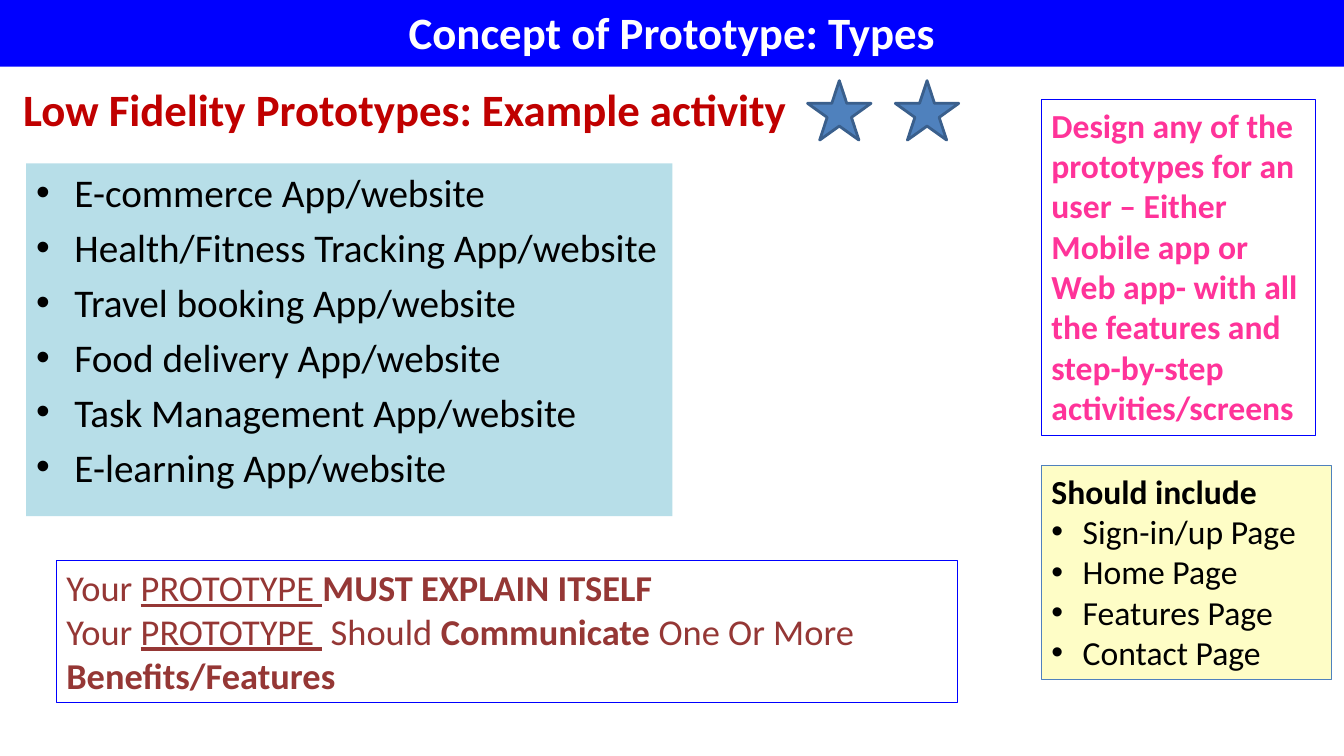
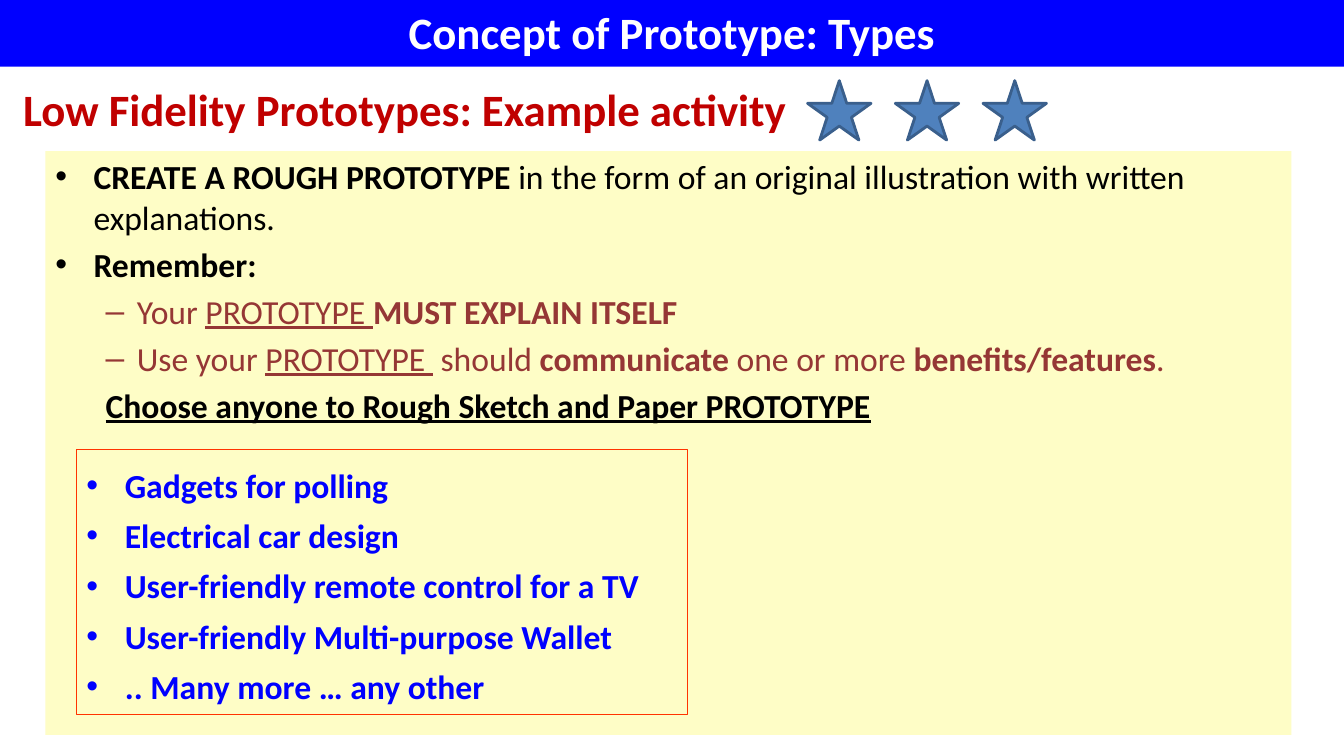
from dataclasses import dataclass

from lxml.etree import SubElement
from pptx import Presentation
from pptx.dml.color import RGBColor
from pptx.enum.shapes import MSO_SHAPE
from pptx.enum.text import MSO_ANCHOR, MSO_AUTO_SIZE, PP_ALIGN
from pptx.oxml.ns import qn
from pptx.util import Inches, Pt


@dataclass(frozen=True)
class Theme:
    font: str = "Calibri"
    white: str = "FFFFFF"
    black: str = "000000"
    blue: str = "0000FF"
    crimson: str = "C00000"
    pink: str = "FF3399"
    brown: str = "953735"
    cream: str = "FEFDC6"
    aqua: str = "B7DEE8"
    steel: str = "4F81BD"
    navy: str = "3A5F8C"
    orange: str = "FF3300"
    heading: int = 32
    large: int = 28
    medium: int = 26
    body: int = 24
    hairline: float = 0.75
    star_line: float = 2


@dataclass(frozen=True)
class Item:
    text: object
    margin: float = 0
    hanging: float = 0
    bullet: str = ""
    color: str = ""
    style: str = ""


THEME = Theme()
TITLE_ONLY = 5
TITLE = "Concept of Prototype: Types"
SUBTITLE = "Low Fidelity Prototypes: Example activity"
STAR_LEFT, STAR_STEP = 8.01, 0.87

APP_IDEAS = [
    "E-commerce App/website",
    "Health/Fitness Tracking App/website",
    "Travel booking App/website",
    "Food delivery App/website",
    "Task Management App/website",
    "E-learning App/website",
]
TASK = (
    "Design any of the prototypes for an user – Either Mobile app or "
    "Web app- with all the features and step-by-step activities/screens"
)
PAGES = ["Sign-in/up Page", "Home Page", "Features Page", "Contact Page"]
SKETCH_IDEAS = [
    "Gadgets for polling",
    "Electrical car design",
    "User-friendly remote control for a TV",
    "User-friendly Multi-purpose Wallet",
    ".. Many more … any other",
]
MUST_EXPLAIN = [("Your ", ""), ("PROTOTYPE ", "u"), ("MUST EXPLAIN ITSELF", "b")]
SHOULD_COMMUNICATE = [
    ("Your ", ""),
    ("PROTOTYPE ", "u"),
    (" Should ", ""),
    ("Communicate", "b"),
    (" One Or More ", ""),
    ("Benefits/Features", "b"),
]
USE_PROTOTYPE = [
    ("Use your ", ""),
    ("PROTOTYPE ", "u"),
    (" should ", ""),
    ("communicate", "b"),
    (" one or more ", ""),
    ("benefits/features", "b"),
    (".", ""),
]
ROUGH_PROTOTYPE = [
    ("CREATE A ROUGH PROTOTYPE ", "b"),
    ("in the form of an original illustration with written explanations.", ""),
]


def bulleted(text, margin=0.38, hanging=0.38, bullet="•", **options):
    return Item(text, margin, hanging, bullet, **options)


def dashed(text):
    return bulleted(text, 0.81, 0.31, "–", color=THEME.brown)


def set_indent(paragraph, item):
    properties = paragraph._p.get_or_add_pPr()
    properties.set("marL", str(Inches(item.margin)))
    properties.set("indent", str(-Inches(item.hanging)))
    if item.bullet:
        SubElement(properties, qn("a:buFont")).set("typeface", "Arial")
        SubElement(properties, qn("a:buChar")).set("char", item.bullet)


def write(frame, content, size=THEME.body, color=THEME.black, style="",
          align=PP_ALIGN.LEFT, anchor=MSO_ANCHOR.TOP, gap=0, leading=None):
    frame.word_wrap = True
    frame.auto_size = MSO_AUTO_SIZE.NONE
    frame.vertical_anchor = anchor
    items = [Item(content)] if isinstance(content, str) else content
    for index, item in enumerate(items):
        paragraph = frame.add_paragraph() if index else frame.paragraphs[0]
        set_indent(paragraph, item)
        paragraph.alignment = align
        paragraph.space_before = Pt(gap if index else 0)
        if leading:
            paragraph.line_spacing = Pt(leading)
        runs = [(item.text, "")] if isinstance(item.text, str) else item.text
        for text, emphasis in runs:
            run = paragraph.add_run()
            run.text = text
            flags = style + item.style + emphasis
            run.font.name = THEME.font
            run.font.size = Pt(size)
            run.font.color.rgb = RGBColor.from_string(item.color or color)
            run.font.bold = "b" in flags
            run.font.underline = "u" in flags


def add_panel(slide, left, top, width, height, fill=None, line=None,
              weight=THEME.hairline, preset=MSO_SHAPE.RECTANGLE):
    panel = slide.shapes.add_shape(
        preset, Inches(left), Inches(top), Inches(width), Inches(height))
    panel.shadow.inherit = False
    if fill:
        panel.fill.solid()
        panel.fill.fore_color.rgb = RGBColor.from_string(fill)
    else:
        panel.fill.background()
    if line:
        panel.line.color.rgb = RGBColor.from_string(line)
        panel.line.width = Pt(weight)
    else:
        panel.line.fill.background()
    return panel.text_frame


def add_stars(slide, count):
    for index in range(count):
        add_panel(slide, STAR_LEFT + index * STAR_STEP, 0.8, 0.63, 0.59,
                  fill=THEME.steel, line=THEME.navy, weight=THEME.star_line,
                  preset=MSO_SHAPE.STAR_5_POINT)


def add_activity_slide(deck, stars):
    slide = deck.slides.add_slide(deck.slide_layouts[TITLE_ONLY])
    band = slide.shapes.title
    band.left, band.top = 0, Inches(-0.03)
    band.width, band.height = deck.slide_width, Inches(0.69)
    band.fill.solid()
    band.fill.fore_color.rgb = RGBColor.from_string(THEME.blue)
    write(band.text_frame, TITLE, size=THEME.heading, color=THEME.white,
          style="b", align=PP_ALIGN.CENTER, anchor=MSO_ANCHOR.MIDDLE)
    subtitle = slide.shapes.add_textbox(
        Inches(0.13), Inches(0.76), Inches(7.95), Inches(0.64))
    write(subtitle.text_frame, SUBTITLE, size=THEME.heading,
          color=THEME.crimson, style="b")
    add_stars(slide, stars)
    return slide


def build_app_activity(deck):
    slide = add_activity_slide(deck, stars=2)
    task = add_panel(slide, 10.33, 0.99, 2.72, 3.33, line=THEME.blue)
    write(task, TASK, color=THEME.pink, style="b")
    pages = add_panel(slide, 10.33, 4.62, 2.88, 2.12,
                      fill=THEME.cream, line=THEME.steel)
    write(pages, [Item("Should include", style="b")]
          + [bulleted(page, 0.31, 0.31) for page in PAGES])
    ideas = add_panel(slide, 0.26, 1.62, 6.41, 3.5, fill=THEME.aqua)
    write(ideas, [bulleted(idea) for idea in APP_IDEAS],
          size=THEME.large, gap=THEME.large * 0.2)
    reminder = add_panel(slide, 0.56, 5.56, 8.94, 1.41, line=THEME.blue)
    write(reminder, [Item(MUST_EXPLAIN), Item(SHOULD_COMMUNICATE)],
          size=THEME.medium, color=THEME.brown)


def build_sketch_activity(deck):
    slide = add_activity_slide(deck, stars=3)
    brief = add_panel(slide, 0.45, 1.5, 12.36, 5.79, fill=THEME.cream)
    write(brief, [
        bulleted(ROUGH_PROTOTYPE),
        bulleted("Remember:", style="b"),
        dashed(MUST_EXPLAIN),
        dashed(USE_PROTOTYPE),
        Item("Choose anyone to Rough Sketch and Paper PROTOTYPE",
             margin=0.5, style="bu"),
    ], gap=THEME.body * 0.2)
    ideas = add_panel(slide, 0.76, 4.46, 6.06, 2.63, line=THEME.orange)
    write(ideas, [bulleted(idea) for idea in SKETCH_IDEAS],
          color=THEME.blue, style="b", leading=36)


def main():
    deck = Presentation()
    deck.slide_width, deck.slide_height = Inches(13.33), Inches(7.5)
    build_app_activity(deck)
    build_sketch_activity(deck)
    deck.save("out.pptx")


if __name__ == "__main__":
    main()
